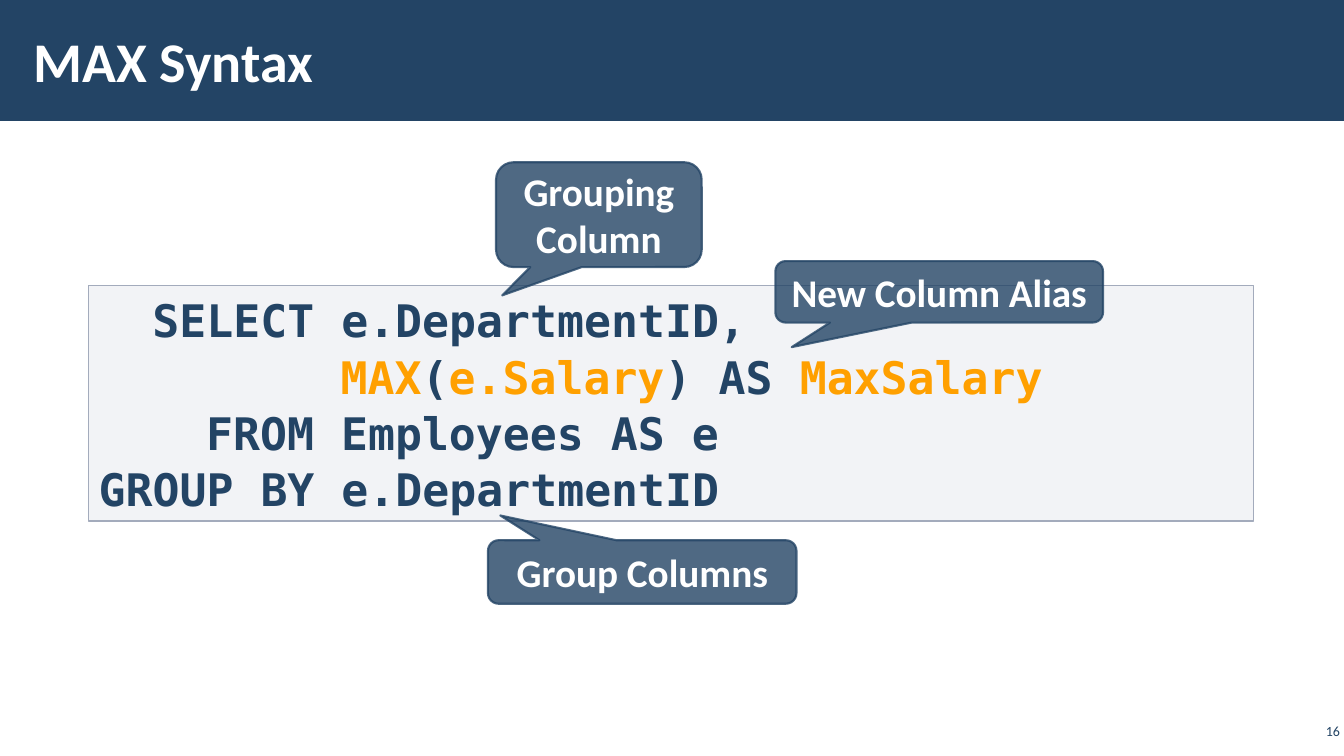
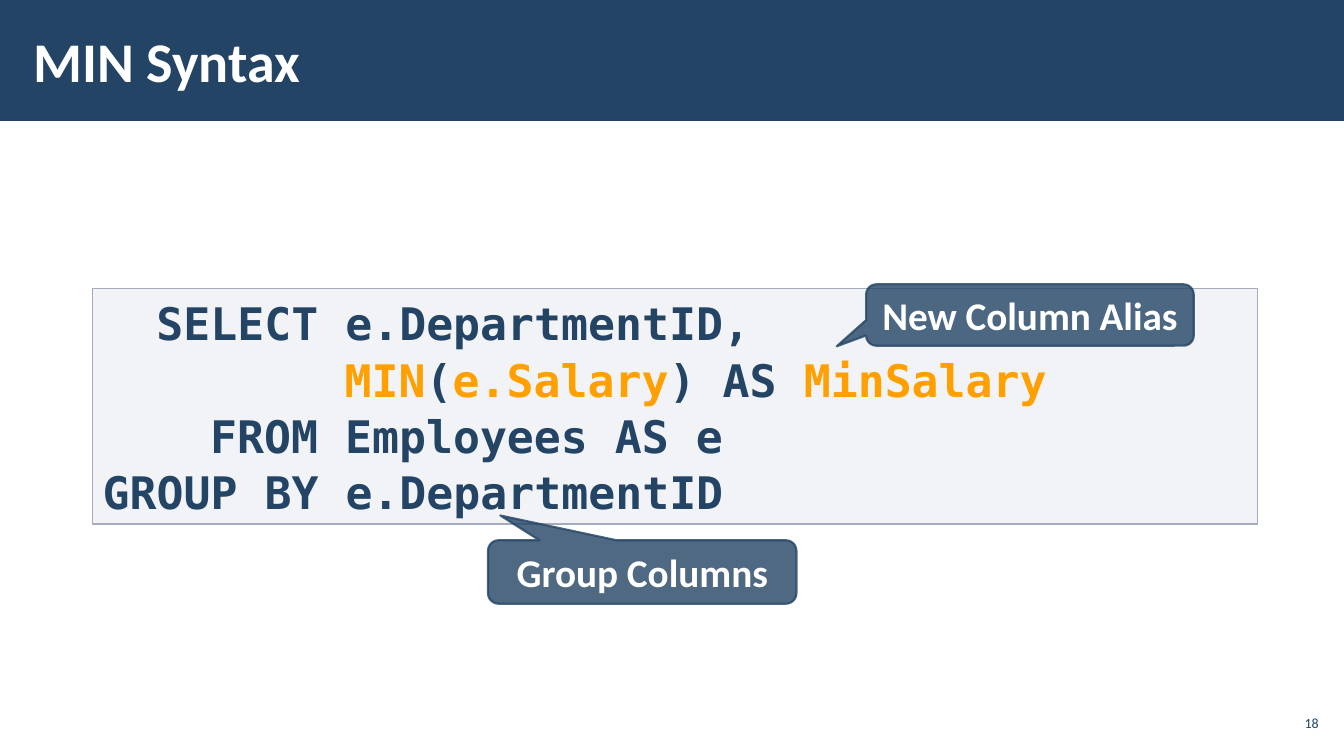
from pptx import Presentation
from pptx.dml.color import RGBColor
from pptx.enum.shapes import MSO_SHAPE
from pptx.enum.text import MSO_ANCHOR, PP_ALIGN
from pptx.oxml.ns import qn
from pptx.util import Inches, Pt

RECTANGLE = MSO_SHAPE.RECTANGLE
CALLOUT = MSO_SHAPE.ROUNDED_RECTANGULAR_CALLOUT
TOP, MIDDLE = MSO_ANCHOR.TOP, MSO_ANCHOR.MIDDLE
LEFT, CENTER, RIGHT = PP_ALIGN.LEFT, PP_ALIGN.CENTER, PP_ALIGN.RIGHT

COLORS = {"navy": "234465", "orange": "FFA000", "white": "FFFFFF",
          "code_fill": "C2C7D2", "code_line": "A3ABBC"}
TEXT_FONT, CODE_FONT = "Calibri", "DejaVu Sans Mono"
CODE_SIZE = 32
CODE_COLUMN = CODE_SIZE * 0.6 / 72  # width of one monospaced character, inches

GROUP_COLUMNS = ("Group Columns", (4.84, 5.36, 3.06, 0.63), (-0.46, -0.89))
SLIDES = [
    {"function": "MAX", "alias": "MaxSalary", "code_at": (0.88, 2.83),
     "number": "16", "number_box": (12.86, 7.14, 0.47, 0.22),
     "callouts": [
         ("Grouping Column", (4.92, 1.61, 2.04, 1.04), (-0.47, 0.77)),
         ("New Column Alias", (7.69, 2.59, 3.25, 0.61), (-0.45, 0.9)),
         GROUP_COLUMNS]},
    {"function": "MIN", "alias": "MinSalary", "code_at": (0.92, 2.86),
     "number": "18", "number_box": (12.65, 7, 0.47, 0.34),
     "callouts": [
         GROUP_COLUMNS,
         ("New Column Alias", (8.59, 2.82, 3.25, 0.61), (-0.59, 0.51))]},
]


def color(name):
    return RGBColor.from_string(COLORS[name])


def set_opacity(shape, color_location, percent):
    """Make the colours found at a location in the shape properties translucent."""
    for element in shape._element.spPr.xpath(color_location):
        alpha = element.makeelement(qn("a:alpha"), {"val": str(percent * 1000)})
        element.append(alpha)


def add_run(paragraph, text, size, color_name, font=TEXT_FONT, bold=True):
    run = paragraph.add_run()
    run.text = text
    run.font.name = font
    run.font.size = Pt(size)
    run.font.bold = bold
    run.font.color.rgb = color(color_name)


def add_filled_shape(slide, kind, box, fill, line=None, line_width=1):
    shape = slide.shapes.add_shape(kind, *map(Inches, box))
    shape.shadow.inherit = False
    shape.fill.solid()
    shape.fill.fore_color.rgb = color(fill)
    if line:
        shape.line.color.rgb = color(line)
        shape.line.width = Pt(line_width)
    else:
        shape.line.fill.background()
    return shape


def add_label(slide, text, box, size, color_name, side_inset, align=LEFT, bold=True):
    frame = slide.shapes.add_textbox(*map(Inches, box)).text_frame
    frame.word_wrap = True
    frame.vertical_anchor = MIDDLE
    frame.margin_left = frame.margin_right = Inches(side_inset)
    frame.margin_top = frame.margin_bottom = Inches(0.04)
    paragraph = frame.paragraphs[0]
    paragraph.alignment = align
    add_run(paragraph, text, size, color_name, bold=bold)


def add_code_box(slide, position, lines):
    """Add a query whose lines are (indent in characters, [(text, colour), ...])."""
    shape = add_filled_shape(slide, RECTANGLE, (*position, 11.55, 2.34),
                             "code_fill", "code_line")
    set_opacity(shape, "a:solidFill/a:srgbClr", 20)
    frame = shape.text_frame
    frame.word_wrap = True
    frame.vertical_anchor = TOP
    for index, (indent, parts) in enumerate(lines):
        paragraph = frame.add_paragraph() if index else frame.paragraphs[0]
        paragraph.alignment = LEFT
        paragraph.line_spacing = 1.05
        properties = paragraph._p.get_or_add_pPr()
        properties.set("marL", str(Inches(indent * CODE_COLUMN)))
        for text, color_name in parts:
            add_run(paragraph, text, CODE_SIZE, color_name, CODE_FONT)


def add_callout(slide, text, box, tip):
    shape = add_filled_shape(slide, CALLOUT, box, "navy", "navy", 1.5)
    set_opacity(shape, ".//a:srgbClr", 80)
    shape.adjustments[0], shape.adjustments[1] = tip
    frame = shape.text_frame
    frame.word_wrap = True
    frame.vertical_anchor = MIDDLE
    paragraph = frame.paragraphs[0]
    paragraph.alignment = CENTER
    add_run(paragraph, text, 28, "white")


def query_lines(function, alias):
    return [
        (2, [("SELECT e.DepartmentID,", "navy")]),
        (9, [(function, "orange"), ("(", "navy"), ("e.Salary", "orange"),
             (") AS ", "navy"), (alias, "orange")]),
        (4, [("FROM Employees AS e", "navy")]),
        (0, [("GROUP BY e.DepartmentID", "navy")]),
    ]


def add_syntax_slide(presentation, content):
    slide = presentation.slides.add_slide(presentation.slide_layouts[6])
    add_filled_shape(slide, RECTANGLE, (0, 0, 13.33, 1.2), "navy")
    add_code_box(slide, content["code_at"],
                 query_lines(content["function"], content["alias"]))
    add_label(slide, f"{content['function']} Syntax", (0.21, 0.11, 10.4, 0.97),
              40, "white", 0.12)
    add_label(slide, content["number"], content["number_box"], 10, "navy",
              0.04, RIGHT, bold=False)
    for text, box, tip in content["callouts"]:
        add_callout(slide, text, box, tip)


def main():
    presentation = Presentation()
    presentation.slide_width = Inches(13.33)
    presentation.slide_height = Inches(7.5)
    for content in SLIDES:
        add_syntax_slide(presentation, content)
    presentation.save("out.pptx")


if __name__ == "__main__":
    main()
